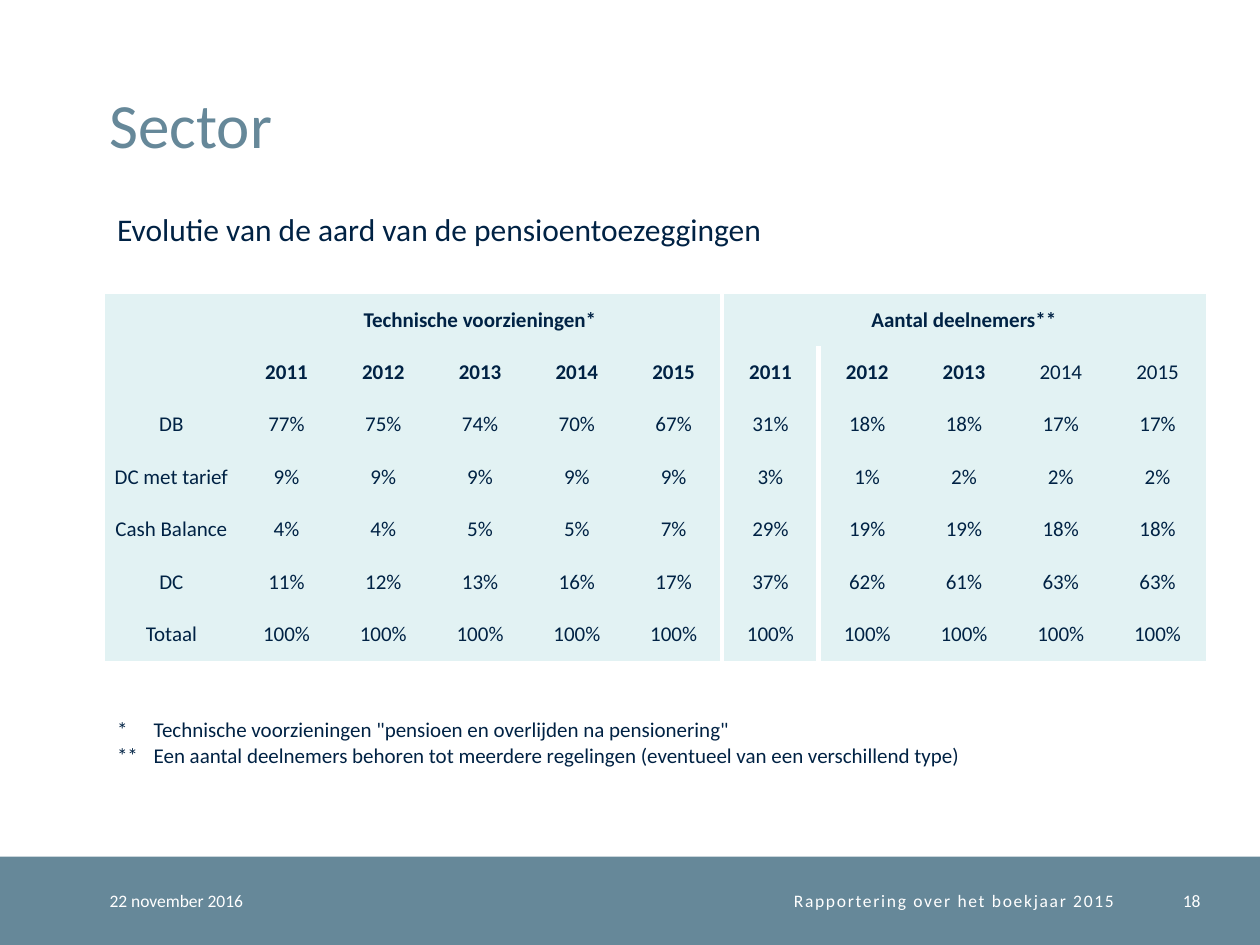
from lxml import etree
from pptx import Presentation
from pptx.dml.color import RGBColor
from pptx.enum.shapes import MSO_SHAPE
from pptx.enum.text import MSO_ANCHOR, PP_ALIGN
from pptx.oxml.ns import qn
from pptx.util import Cm, Pt

RECT = MSO_SHAPE.RECTANGLE
TOP, MIDDLE, BOTTOM = MSO_ANCHOR.TOP, MSO_ANCHOR.MIDDLE, MSO_ANCHOR.BOTTOM
LEFT, CENTER, RIGHT = PP_ALIGN.LEFT, PP_ALIGN.CENTER, PP_ALIGN.RIGHT

FONT = "Calibri"
NAVY, SLATE, MINT, WHITE = "002244", "668899", "E2F2F3", "FFFFFF"
PLAIN_TABLE = "{2D5ABB26-0587-4C30-8999-92F81FD0307C}"

YEARS = ["2011", "2012", "2013", "2014", "2015"]
GROUPS = ["Technische voorzieningen*", "Aantal deelnemers**"]
SHARES = [
    ("DB", [77, 75, 74, 70, 67, 31, 18, 18, 17, 17]),
    ("DC met tarief", [9, 9, 9, 9, 9, 3, 1, 2, 2, 2]),
    ("Cash Balance", [4, 4, 5, 5, 7, 29, 19, 19, 18, 18]),
    ("DC", [11, 12, 13, 16, 17, 37, 62, 61, 63, 63]),
    ("Totaal", [100] * 10),
]
NOTES = [
    '*\tTechnische voorzieningen "pensioen en overlijden na pensionering"',
    "**\tEen aantal deelnemers behoren tot meerdere regelingen (eventueel van een verschillend type)",
]


def rgb(color):
    return RGBColor.from_string(color)


def style(p, size, color, align=LEFT, bold=False):
    p.alignment = align
    p.font.name = FONT
    p.font.size = Pt(size)
    p.font.bold = bold
    p.font.color.rgb = rgb(color)


def add_text(slide, box, lines, size, color, align=LEFT, anchor=TOP, inset=True):
    tf = slide.shapes.add_textbox(*map(Cm, box)).text_frame
    tf.word_wrap = True
    tf.vertical_anchor = anchor
    if not inset:
        tf.margin_left = tf.margin_right = tf.margin_top = tf.margin_bottom = 0
    tf.text = "\n".join(lines)
    for p in tf.paragraphs:
        style(p, size, color, align)
    return tf


def add_heading(slide, x, y, w):
    tf = add_text(slide, (x + 0.1, y, w, 2.74), ["Sector"], 36, SLATE, anchor=BOTTOM, inset=False)
    tf.paragraphs[0].line_spacing = Pt(32)
    add_text(slide, (x, y + 3.6, w, 1.02), ["Evolutie van de aard van de pensioentoezeggingen"], 18, NAVY)


def add_border(cell, side):
    tcPr = cell._tc.get_or_add_tcPr()
    ln = etree.Element(qn(f"a:{side}"), w=str(Pt(3)))
    fill = etree.SubElement(ln, qn("a:solidFill"))
    etree.SubElement(fill, qn("a:srgbClr"), val=WHITE)
    tcPr.insert(0, ln)


def add_share_table(slide, x, y, w, h):
    n = len(YEARS)
    second = n + 1
    rows = [
        ["", GROUPS[0]] + [""] * (n - 1) + [GROUPS[1]] + [""] * (n - 1),
        [""] + YEARS * 2,
    ]
    rows += [[label] + [f"{v}%" for v in values] for label, values in SHARES]
    label_w = 2.69
    table = slide.shapes.add_table(len(rows), 2 * n + 1, Cm(x), Cm(y), Cm(w), Cm(h)).table
    table._tbl.tblPr.find(qn("a:tableStyleId")).text = PLAIN_TABLE
    table.first_row = table.horz_banding = False
    for c, col in enumerate(table.columns):
        col.width = Cm((w - label_w) / (2 * n) if c else label_w)
    for r, texts in enumerate(rows):
        table.rows[r].height = Cm(h / len(rows))
        for c, text in enumerate(texts):
            cell = table.cell(r, c)
            cell.margin_left = cell.margin_right = cell.margin_top = cell.margin_bottom = 0
            cell.vertical_anchor = MIDDLE
            cell.fill.solid()
            cell.fill.fore_color.rgb = rgb(MINT)
            cell.text = text
            bold = r == 0 or (r == 1 and c < 2 * n - 1)
            style(cell.text_frame.paragraphs[0], 12, NAVY, CENTER, bold)
        add_border(table.cell(r, second - 1), "lnR")
        add_border(table.cell(r, second), "lnL")
    add_border(table.cell(0, 1), "lnR")
    table.cell(0, 0).merge(table.cell(1, 0))
    for first in (1, second):
        table.cell(0, first).merge(table.cell(0, first + n - 1))


def add_notes(slide, x, y, w, h):
    tf = add_text(slide, (x, y, w, h), NOTES, 12, NAVY)
    for p in tf.paragraphs:
        pPr = p._p.get_or_add_pPr()
        pPr.set("marL", str(Cm(0.74)))
        pPr.set("indent", str(-Cm(0.74)))


def add_footer(slide, x, y, w, h):
    sp = slide.shapes.add_shape(RECT, Cm(x), Cm(y), Cm(w), Cm(h))
    sp.shadow.inherit = False
    sp.fill.solid()
    sp.fill.fore_color.rgb = rgb(SLATE)
    sp.line.fill.background()
    parts = [
        (2.21, 4.5, "22 november 2016", LEFT, 0),
        (6.71, 15.75, "Rapportering over het boekjaar 2015", RIGHT, 1),
        (22.96, 1.24, "18", RIGHT, 0),
    ]
    for left, width, text, align, spacing in parts:
        tf = add_text(slide, (x + left, y, width, h), [text], 10, WHITE, align, MIDDLE, False)
        if spacing:
            tf.paragraphs[0].runs[0]._r.get_or_add_rPr().set("spc", str(spacing * 100))


def main():
    prs = Presentation()
    prs.slide_width, prs.slide_height = Cm(25.4), Cm(19.05)
    slide = prs.slides.add_slide(prs.slide_layouts[6])
    add_footer(slide, 0, 17.27, 25.4, 1.78)
    add_heading(slide, 2.11, 0.51, 21.9)
    add_share_table(slide, 2.11, 5.92, 22.2, 7.4)
    add_notes(slide, 2.11, 14.33, 22.2, 1.27)
    prs.save("out.pptx")


if __name__ == "__main__":
    main()
